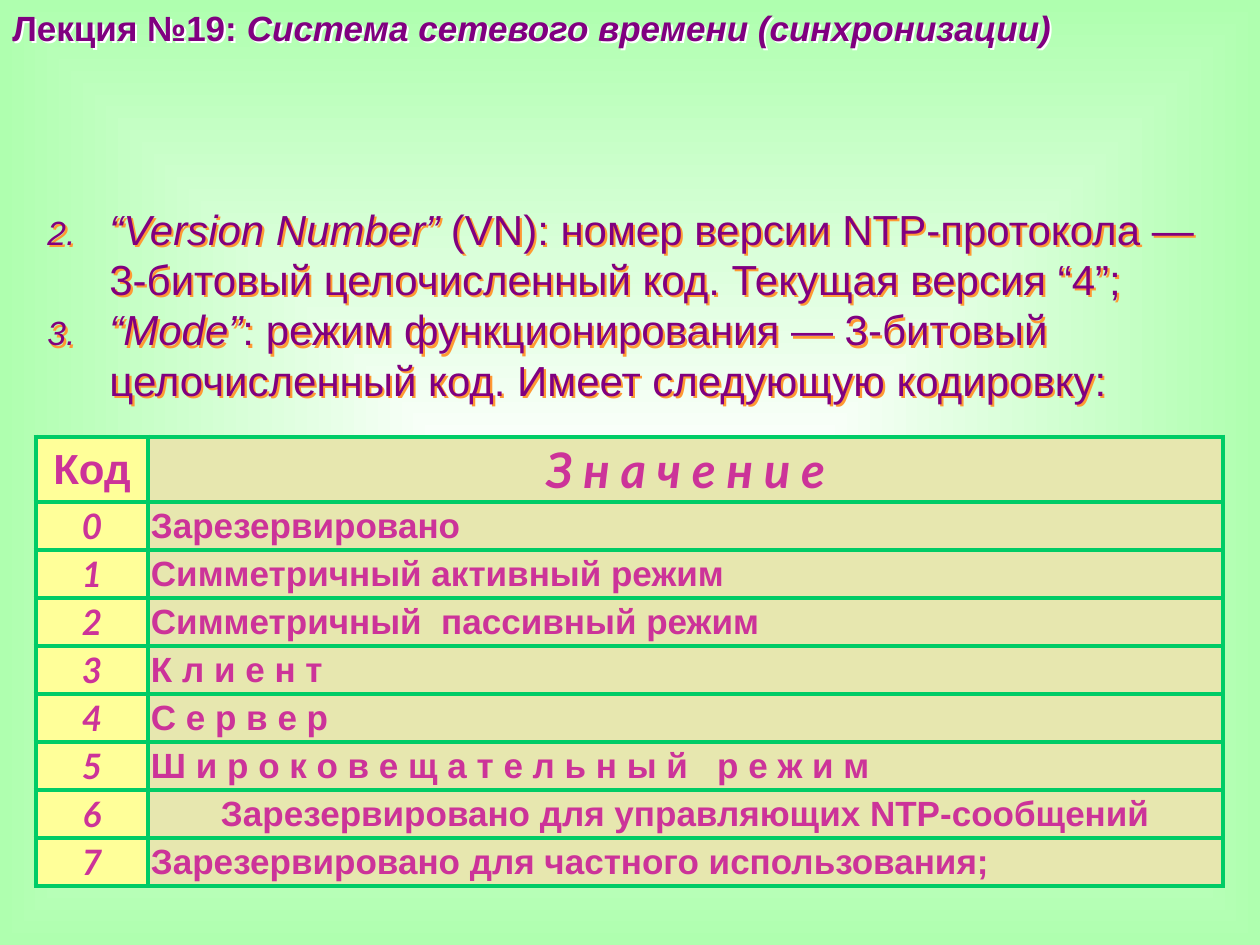
from dataclasses import dataclass

from lxml import etree
from pptx import Presentation
from pptx.dml.color import RGBColor
from pptx.enum.text import MSO_ANCHOR, MSO_AUTO_SIZE, PP_ALIGN
from pptx.oxml.ns import qn
from pptx.util import Pt

LEFT, CENTER = PP_ALIGN.LEFT, PP_ALIGN.CENTER
MIDDLE = MSO_ANCHOR.MIDDLE
GROW = MSO_AUTO_SIZE.SHAPE_TO_FIT_TEXT
EMU_PER_PX = 914400 / 126


@dataclass(frozen=True)
class Theme:
    text: str = "800080"
    title_shadow: str = "FFFFFF"
    body_shadow: str = "FF9933"
    center: str = "FFFFFF"
    edge: str = "AFFFAF"
    border: str = "00CC66"
    code_fill: str = "FFFF99"
    meaning_fill: str = "E7E7AF"
    table_text: str = "CC3399"
    font: str = "Arial"
    accent_font: str = "Lato"
    small: int = 20
    medium: int = 24
    large: int = 28
    outer_line: float = 3
    inner_line: float = 2.25


def px(value):
    return round(value * EMU_PER_PX)


def add_element(parent, tag, **attributes):
    element = etree.SubElement(parent, qn(tag))
    for name, value in attributes.items():
        element.set(name, str(value))
    return element


class SlideBuilder:
    def __init__(self, slide, theme):
        self.slide = slide
        self.theme = theme

    def background(self):
        fill = self.slide.background.fill
        fill.gradient()
        for stop, color in zip(fill.gradient_stops, (self.theme.center, self.theme.edge)):
            stop.color.rgb = RGBColor.from_string(color)
        gradient = self.slide.element.find(".//" + qn("a:gradFill"))
        gradient.remove(gradient.find(qn("a:lin")))
        path = add_element(gradient, "a:path", path="shape")
        add_element(path, "a:fillToRect", l=50000, t=50000, r=50000, b=50000)

    def run(self, paragraph, text, size, color, font=None, bold=False, italic=False):
        run = paragraph.add_run()
        run.text = text
        run.font.name = font or self.theme.font
        run.font.size = Pt(size)
        run.font.bold = bold
        run.font.italic = italic
        run.font.color.rgb = RGBColor.from_string(color)

    def number(self, paragraph, start, indent):
        properties = paragraph._p.get_or_add_pPr()
        properties.set("marL", str(px(indent)))
        properties.set("indent", str(-px(indent)))
        add_element(properties, "a:buSzPct", val=80000)
        add_element(properties, "a:buFont", typeface=self.theme.font)
        add_element(properties, "a:buAutoNum", type="arabicPeriod", startAt=start)

    def text_shadow(self, shape, color):
        effects = add_element(shape.element.spPr, "a:effectLst")
        shadow = add_element(effects, "a:outerShdw", dist=px(3), dir=2700000, algn="ctr")
        add_element(shadow, "a:srgbClr", val=color)

    def text(self, bounds, paragraphs, size, shadow, bold=False, start=None):
        shape = self.slide.shapes.add_textbox(*map(px, bounds))
        self.text_shadow(shape, shadow)
        frame = shape.text_frame
        frame.word_wrap = True
        frame.auto_size = GROW
        for index, runs in enumerate(paragraphs):
            paragraph = frame.add_paragraph() if index else frame.paragraphs[0]
            if start:
                self.number(paragraph, start, 62)
            for text, italic in runs:
                self.run(paragraph, text, size, self.theme.text, bold=bold, italic=italic)

    def borders(self, cell, outer_sides):
        properties = cell._tc.get_or_add_tcPr()
        for side in "LRTB":
            width = self.theme.outer_line if side in outer_sides else self.theme.inner_line
            line = add_element(properties, f"a:ln{side}", w=Pt(width))
            fill = add_element(line, "a:solidFill")
            add_element(fill, "a:srgbClr", val=self.theme.border)

    def cell(self, cell, text, fill, outer_sides, alignment, size, accent):
        self.borders(cell, outer_sides)
        cell.fill.solid()
        cell.fill.fore_color.rgb = RGBColor.from_string(fill)
        cell.vertical_anchor = MIDDLE
        cell.margin_left = cell.margin_right = px(3)
        cell.margin_top = cell.margin_bottom = px(3)
        paragraph = cell.text_frame.paragraphs[0]
        paragraph.alignment = alignment
        font = self.theme.accent_font if accent else self.theme.font
        self.run(paragraph, text, size, self.theme.table_text, font, True, accent)

    def table(self, left, top, widths, header_height, row_height, headings, meanings, centered):
        theme = self.theme
        heights = [header_height] + [row_height] * len(meanings)
        frame = self.slide.shapes.add_table(
            len(heights), len(widths), px(left), px(top), px(sum(widths)), px(sum(heights))
        )
        table = frame.table
        for column, width in zip(table.columns, widths):
            column.width = px(width)
        for row, height in zip(table.rows, heights):
            row.height = px(height)
        code_heading, meaning_heading = headings
        self.cell(table.cell(0, 0), code_heading, theme.code_fill, "LT", CENTER, theme.medium, False)
        self.cell(table.cell(0, 1), meaning_heading, theme.meaning_fill, "RT", CENTER, theme.large, True)
        for code, meaning in enumerate(meanings):
            row = code + 1
            bottom = "B" if row == len(meanings) else ""
            alignment = CENTER if code in centered else LEFT
            self.cell(table.cell(row, 0), str(code), theme.code_fill, "L" + bottom,
                      CENTER, theme.small, True)
            self.cell(table.cell(row, 1), meaning, theme.meaning_fill, "R" + bottom,
                      alignment, theme.small, False)


def main():
    presentation = Presentation()
    presentation.slide_width, presentation.slide_height = px(1260), px(945)
    slide = presentation.slides.add_slide(presentation.slide_layouts[6])
    theme = Theme()
    builder = SlideBuilder(slide, theme)
    builder.background()
    builder.text(
        (0, 0, 1260, 54),
        [[("Лекция №19: ", False), ("Система сетевого времени (синхронизации)", True)]],
        theme.small, theme.title_shadow, bold=True,
    )
    builder.text(
        (35, 197, 1191, 214),
        [
            [("“Version Number”", True),
             (" (VN): номер версии NTP-протокола — 3-битовый целочисленный код. "
              "Текущая версия “4”;", False)],
            [("“Mode”", True),
             (": режим функционирования — 3-битовый целочисленный код. "
              "Имеет следующую кодировку:", False)],
        ],
        theme.medium, theme.body_shadow, start=2,
    )
    builder.table(
        36, 437, (112, 1075), 63, 47,
        ("Код", "З н а ч е н и е"),
        (
            "Зарезервировано",
            "Симметричный активный режим",
            "Симметричный  пассивный режим",
            "К л и е н т",
            "С е р в е р",
            "Ш и р о к о в е щ а т е л ь н ы й   р е ж и м",
            "Зарезервировано для управляющих NTP-сообщений",
            "Зарезервировано для частного использования;",
        ),
        centered={6},
    )
    presentation.save("out.pptx")


if __name__ == "__main__":
    main()
